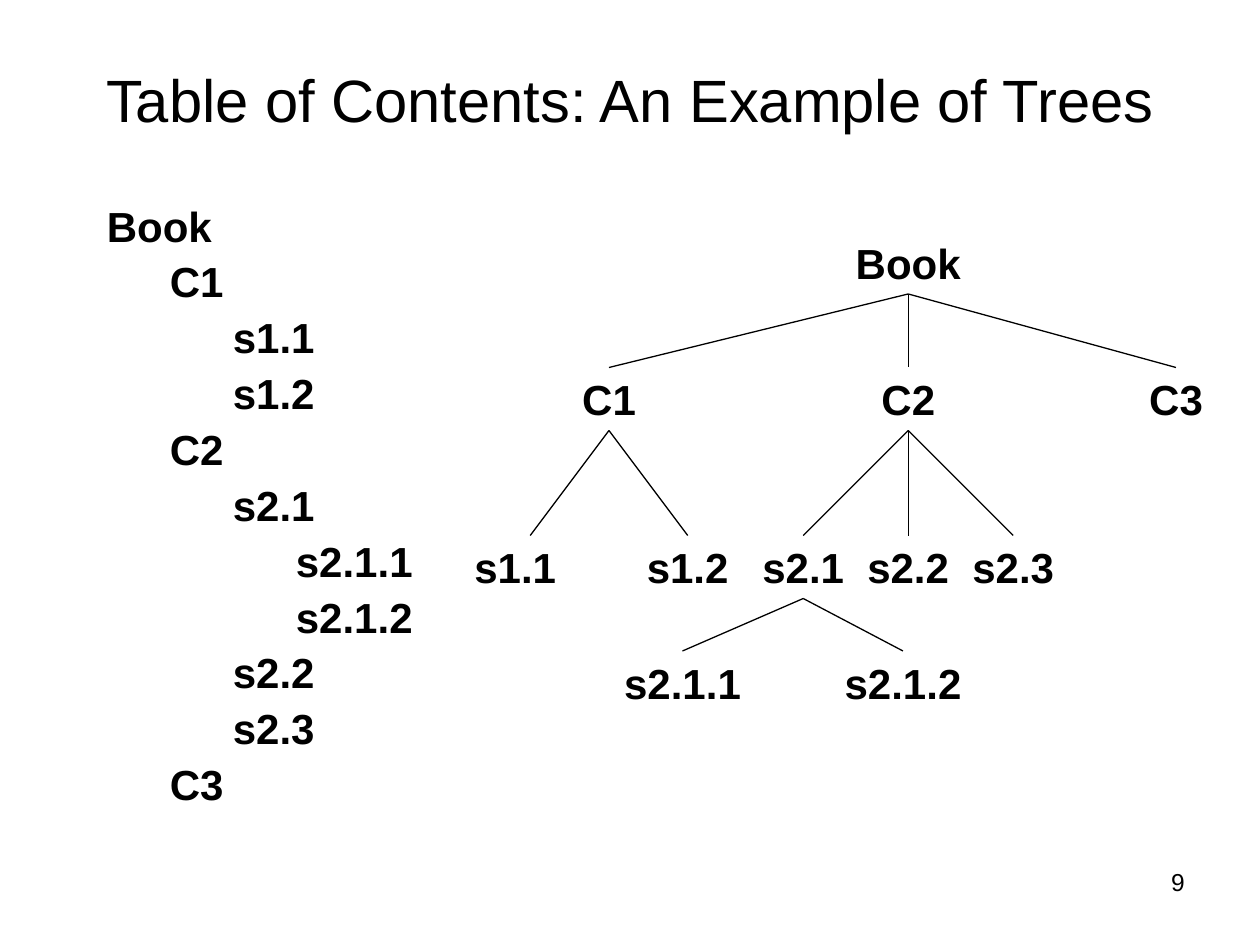
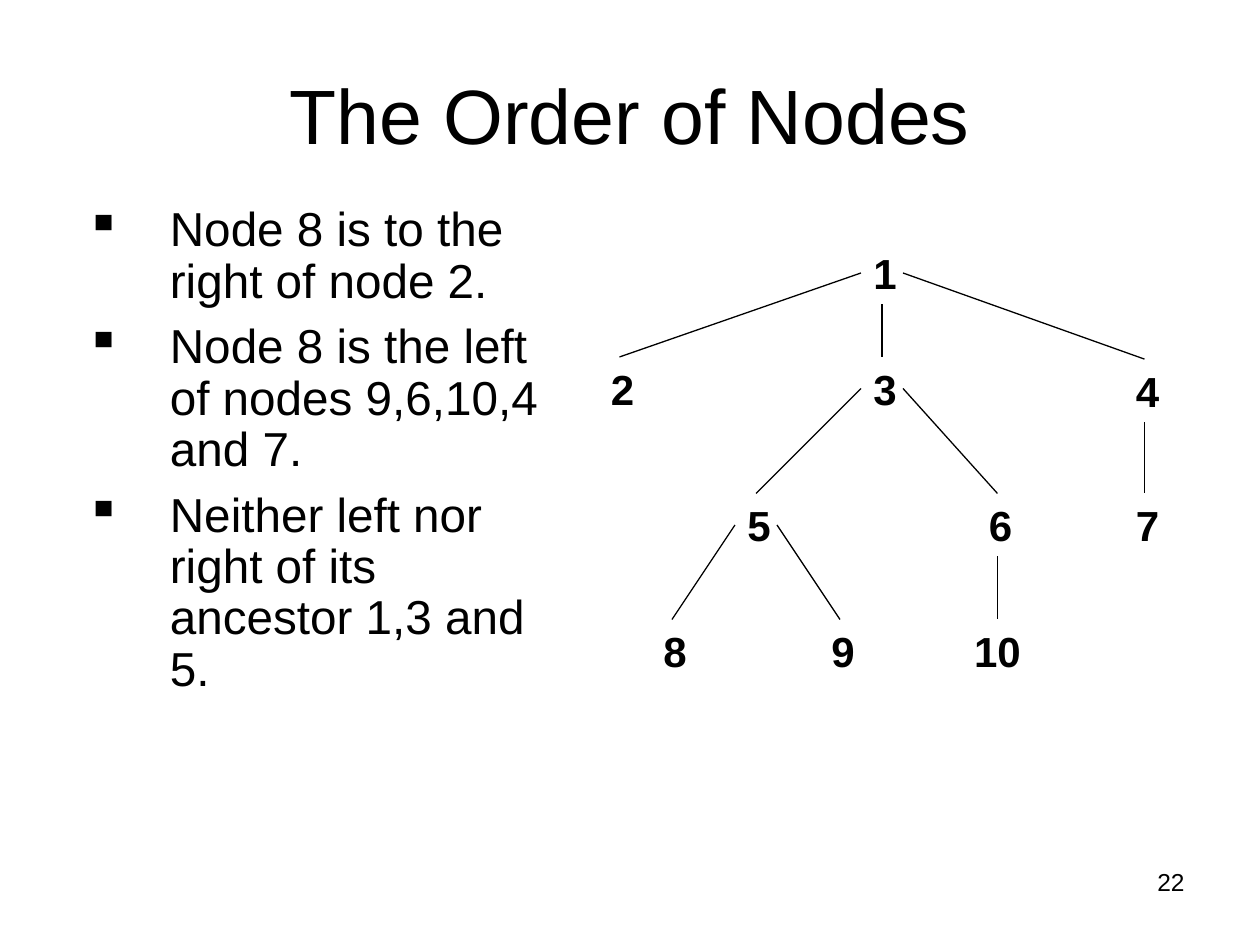
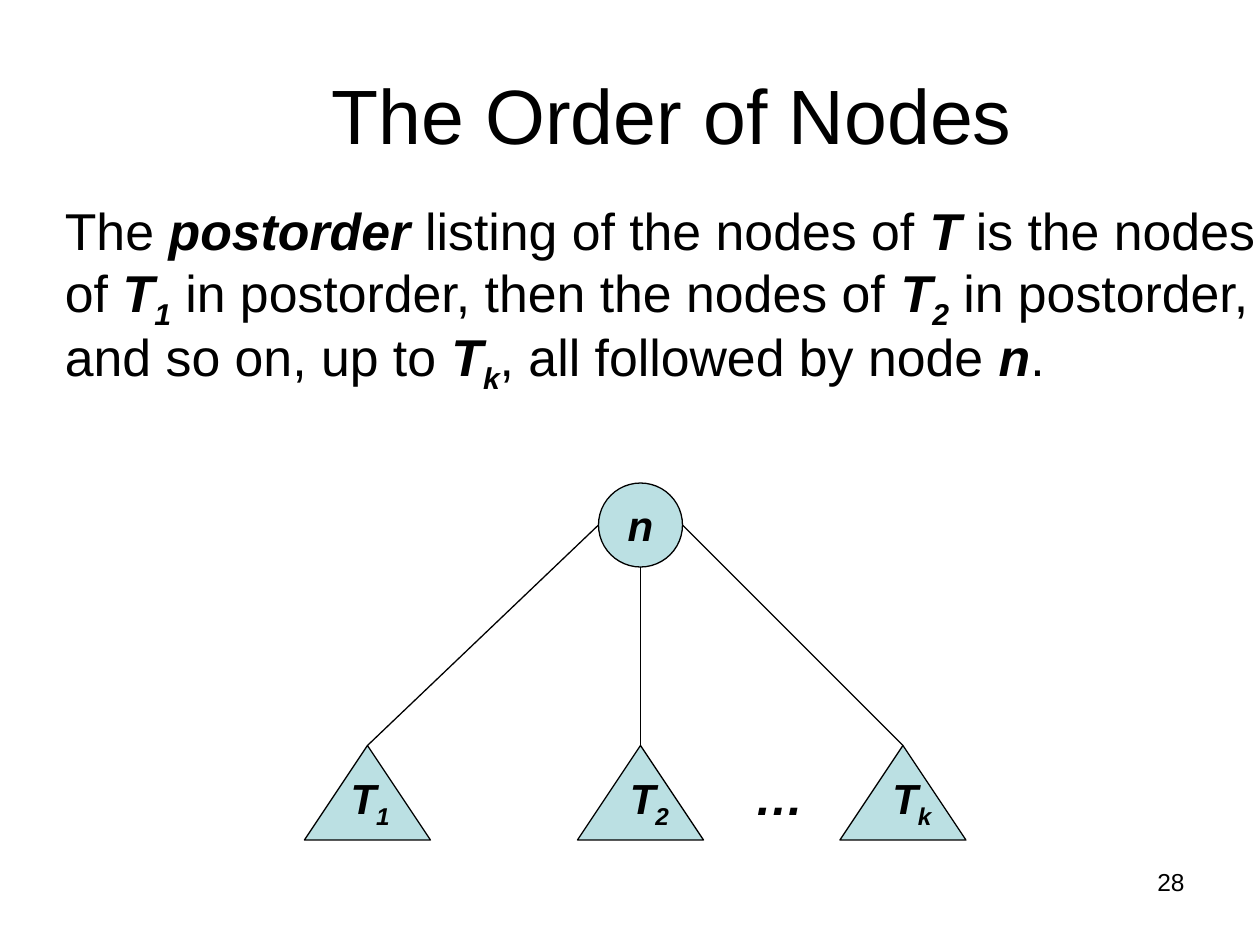
"""Build three slides about trees and the order of their nodes."""
from typing import NamedTuple

from lxml import etree
from pptx import Presentation
from pptx.dml.color import RGBColor
from pptx.enum.shapes import MSO_CONNECTOR, MSO_SHAPE
from pptx.enum.text import MSO_ANCHOR, PP_ALIGN
from pptx.oxml.ns import qn
from pptx.util import Inches, Pt

LEFT, CENTER, RIGHT = PP_ALIGN.LEFT, PP_ALIGN.CENTER, PP_ALIGN.RIGHT
TOP, MIDDLE = MSO_ANCHOR.TOP, MSO_ANCHOR.MIDDLE
STRAIGHT = MSO_CONNECTOR.STRAIGHT
OVAL, TRIANGLE = MSO_SHAPE.OVAL, MSO_SHAPE.FLOWCHART_EXTRACT
SITE_TOP, SITE_LEFT, SITE_BOTTOM, SITE_RIGHT = range(4)

FONT, INK, ACCENT = "Arial", "000000", "BBE0E3"
UNIT = Inches(1) / 12
COLS, ROWS = 120, 90
NODE_ROWS = 6


class Box(NamedTuple):
    """A rectangle in grid columns and rows."""
    col: float
    row: float
    cols: float
    rows: float


class Run(NamedTuple):
    """A piece of text, plain or emphasised, perhaps a subscript."""
    text: str
    strong: bool = False
    sub: bool = False


class Para(NamedTuple):
    """A paragraph with its left margin in columns."""
    runs: list[Run]
    margin: float = 0
    bullet: str = ""


class Style(NamedTuple):
    """How all paragraphs of one text look."""
    size: float
    bold: bool = False
    italic: bool = False
    align: PP_ALIGN = LEFT
    anchor: MSO_ANCHOR = TOP
    spacing: float = 1.0
    before: float = 0
    wrap: bool = True


class Node(NamedTuple):
    """A tree node and the label of its parent."""
    label: str
    col: float
    row: float
    cols: float = 4
    parent: str = ""
    align: PP_ALIGN = LEFT


NUMBER = Style(14, align=RIGHT)
TITLE = Style(44, align=CENTER, anchor=MIDDLE)
LONG_TITLE = TITLE._replace(size=34.1, spacing=0.8)
OUTLINE = Style(24, bold=True, spacing=0.9, before=6)
NODE = Style(24, bold=True, before=15)
SYMBOL = Style(24, bold=True, italic=True, wrap=False)
BULLETS = Style(27.2, spacing=0.9, before=8)
DEFINITION = BULLETS._replace(size=29.6)

BOOK_OUTLINE = [("Book", 0), ("C1", 1), ("s1.1", 2), ("s1.2", 2), ("C2", 1),
                ("s2.1", 2), ("s2.1.1", 3), ("s2.1.2", 3), ("s2.2", 2),
                ("s2.3", 2), ("C3", 1)]
BOOK_TREE = [
    Node("Book", 77, 22, 19, align=CENTER),
    Node("C1", 53, 35, 10, "Book", CENTER),
    Node("C2", 82, 35, 9, "Book", CENTER),
    Node("C3", 107, 35, 10, "Book", CENTER),
    Node("s1.1", 44, 51, 13, "C1"),
    Node("s1.2", 59, 51, 13, "C1", CENTER),
    Node("s2.1", 70, 51, 13, "C2", CENTER),
    Node("s2.2", 80, 51, 13, "C2", CENTER),
    Node("s2.3", 91, 51, 11, "C2", CENTER),
    Node("s2.1.1", 57, 62, 16, "s2.1", CENTER),
    Node("s2.1.2", 78, 62, 16, "s2.1", CENTER),
]
NUMBER_TREE = [
    Node("1", 82, 23), Node("2", 57, 34, parent="1"),
    Node("3", 82, 34, parent="1"), Node("4", 107, 34.2, parent="1"),
    Node("5", 70, 47, parent="3"), Node("6", 93, 47, parent="3"),
    Node("7", 107, 47, parent="4"), Node("8", 62, 59, parent="5"),
    Node("9", 78, 59, parent="5"), Node("10", 90, 59, 10, "6", CENTER),
]
ORDER_FACTS = ["Node 8 is to the right of node 2.",
               "Node 8 is the left of nodes 9,6,10,4 and 7.",
               "Neither left nor right of its ancestor 1,3 and 5."]
POSTORDER = [
    Run("The "), Run("postorder ", True), Run("listing of the nodes of "),
    Run("T", True), Run(" is the nodes of "),
    Run("T", True), Run("1", True, True),
    Run(" in postorder, then the nodes of "),
    Run("T", True), Run("2", True, True),
    Run(" in postorder, and so on, up to "),
    Run("T", True), Run("k", True, True),
    Run(", all followed by node "), Run("n", True), Run("."),
]


def color(value: str) -> RGBColor:
    """Turn a hex string into a colour."""
    return RGBColor.from_string(value)


def grid(*cells: float) -> list[int]:
    """Turn grid counts into slide lengths."""
    return [round(cell * UNIT) for cell in cells]


def plain(text: str, margin: float = 0, bullet: str = "") -> Para:
    """Make a paragraph of one plain run."""
    return Para([Run(text)], margin, bullet)


def write(sp, paras: list[Para], style: Style) -> None:
    """Fill a shape with styled paragraphs."""
    tf = sp.text_frame
    tf.word_wrap, tf.vertical_anchor = style.wrap, style.anchor
    for i, para in enumerate(paras):
        p = tf.add_paragraph() if i else tf.paragraphs[0]
        p.alignment, p.line_spacing = style.align, style.spacing
        p.space_before = Pt(style.before)
        p.font.name, p.font.size = FONT, Pt(style.size)
        p.font.bold, p.font.italic = style.bold, style.italic
        p.font.color.rgb = color(INK)
        margin, = grid(para.margin)
        pPr = p._p.get_or_add_pPr()
        pPr.set("marL", str(margin))
        pPr.set("indent", str(-margin if para.bullet else 0))
        if para.bullet:
            mark = etree.Element(qn("a:buChar"), char=para.bullet)
            pPr.find(qn("a:defRPr")).addprevious(mark)
        for run in para.runs:
            r = p.add_run()
            r.text = run.text
            if run.strong:
                r.font.bold = r.font.italic = True
            if run.sub:
                r._r.get_or_add_rPr().set("baseline", "-25000")


def add_text(s, box: Box, paras: list[Para], style: Style):
    """Add a text box on the grid."""
    sp = s.shapes.add_textbox(*grid(*box))
    write(sp, paras, style)
    return sp


def add_figure(s, kind: MSO_SHAPE, box: Box):
    """Add a tinted shape with a thin outline."""
    sp = s.shapes.add_shape(kind, *grid(*box))
    sp.shadow.inherit = False
    sp.fill.solid()
    sp.fill.fore_color.rgb = color(ACCENT)
    sp.line.color.rgb, sp.line.width = color(INK), Pt(0.75)
    return sp


def add_edge(s, start: tuple[float, float] = (0, 0)):
    """Add a thin straight connector from a grid point."""
    line = s.shapes.add_connector(STRAIGHT, *grid(*start, *start))
    line.line.color.rgb, line.line.width = color(INK), Pt(0.75)
    etree.SubElement(line._element.spPr, qn("a:effectLst"))
    return line


def add_tree(s, nodes: list[Node], from_sides: bool) -> None:
    """Draw the nodes and join each one to its parent."""
    placed = {}
    for node in nodes:
        box = Box(node.col, node.row, node.cols, NODE_ROWS)
        style = NODE._replace(align=node.align)
        placed[node.label] = add_text(s, box, [plain(node.label)], style)
    centers = {node.label: node.col + node.cols / 2 for node in nodes}
    for node in nodes:
        if not node.parent:
            continue
        site = SITE_BOTTOM
        shift = centers[node.label] - centers[node.parent]
        if from_sides and shift:
            site = SITE_LEFT if shift < 0 else SITE_RIGHT
        line = add_edge(s)
        line.begin_connect(placed[node.parent], site)
        line.end_connect(placed[node.label], SITE_TOP)


def add_slide(prs, title: str, number: int, style: Style = TITLE,
              col: float = 6, row: float = 4.8):
    """Add a blank slide with its title and number."""
    s = prs.slides.add_slide(prs.slide_layouts[6])
    add_text(s, Box(86, 82, 28, 6.2), [plain(str(number))], NUMBER)
    add_text(s, Box(col, row, 108, 12), [plain(title)], style)
    return s


def build_contents(prs) -> None:
    """Show a table of contents as an outline and as a tree."""
    s = add_slide(prs, "Table of Contents: An Example of Trees", 9,
                  LONG_TITLE, row=4)
    paras = [plain(text, 6 * level) for text, level in BOOK_OUTLINE]
    add_text(s, Box(9, 19, 33, 63), paras, OUTLINE)
    add_tree(s, BOOK_TREE, from_sides=False)


def build_left_right(prs) -> None:
    """Show which nodes lie left and right of node 8."""
    s = add_slide(prs, "The Order of Nodes", 22)
    add_tree(s, NUMBER_TREE, from_sides=True)
    paras = [plain(fact, 8, "▪") for fact in ORDER_FACTS]
    add_text(s, Box(7, 19, 48, 56), paras, BULLETS)


def build_postorder(prs) -> None:
    """Define the postorder listing above a root with its subtrees."""
    s = add_slide(prs, "The Order of Nodes", 28, col=10)
    add_text(s, Box(-3, 19, 124, 27), [Para(POSTORDER, 8)], DEFINITION)
    root = add_figure(s, OVAL, Box(57, 46, 8, 8))
    write(root, [plain("n")], SYMBOL._replace(align=CENTER, anchor=MIDDLE))
    subtrees = [("1", 29, 32.2, (57, 50)), ("2", 55, 58.8, (61, 54)),
                ("k", 80, 83.8, (65, 50))]
    for index, col, label_col, start in subtrees:
        subtree = add_figure(s, TRIANGLE, Box(col, 71, 12, 9))
        add_edge(s, start).end_connect(subtree, SITE_TOP)
        label = Para([Run("T"), Run(index, sub=True)])
        add_text(s, Box(label_col, 73, 6.1, 6.7), [label], SYMBOL)
    add_text(s, Box(70.7, 72.4, 7.1, 6.8), [plain("…")],
             SYMBOL._replace(size=28))


def main() -> None:
    """Build and save the presentation."""
    prs = Presentation()
    prs.slide_width, prs.slide_height = grid(COLS, ROWS)
    build_contents(prs)
    build_left_right(prs)
    build_postorder(prs)
    prs.save("out.pptx")


if __name__ == "__main__":
    main()
